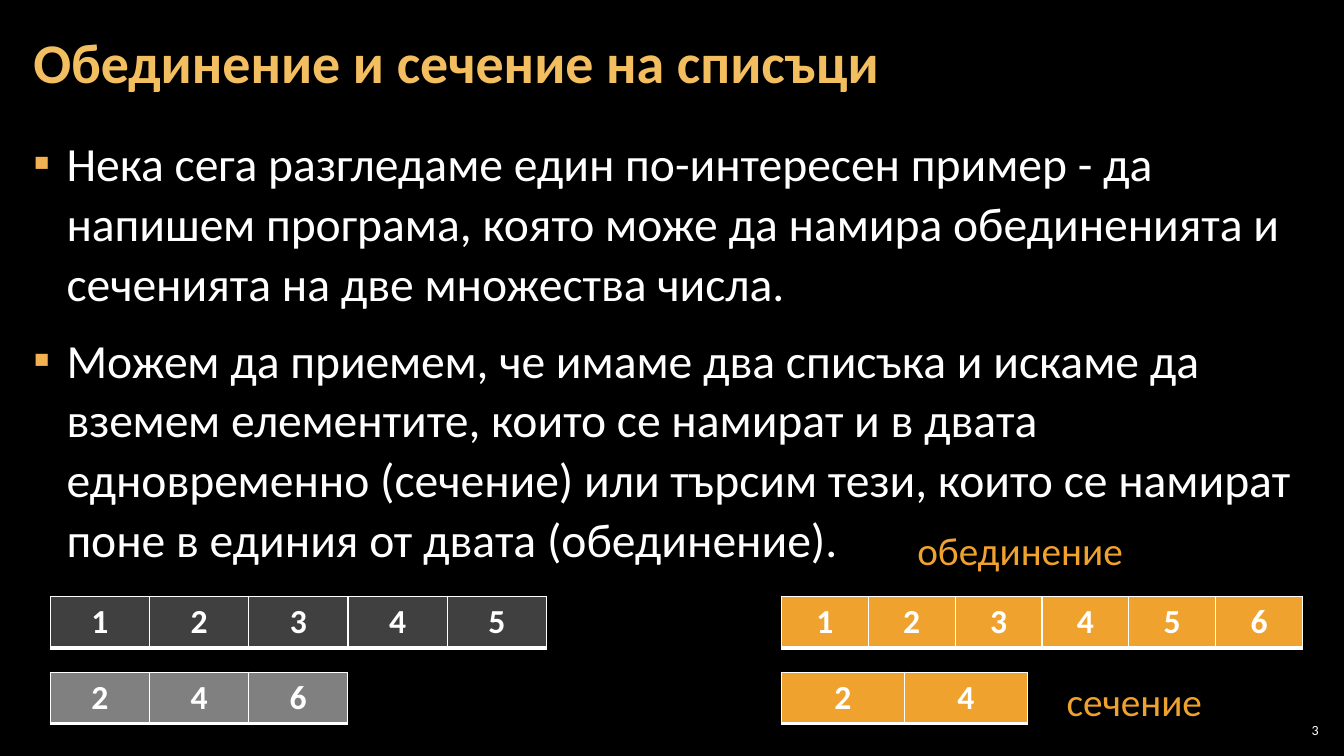
from dataclasses import dataclass

from lxml import etree
from pptx import Presentation
from pptx.dml.color import RGBColor
from pptx.enum import text
from pptx.oxml import ns
from pptx.util import Inches, Pt


@dataclass(frozen=True)
class Theme:
    font: str = "Calibri"
    back: str = "000000"
    white: str = "FFFFFF"
    title: str = "F3BE60"
    bullet: str = "F2B254"
    dark: str = "404040"
    gray: str = "808080"
    orange: str = "F0A22E"
    title_size: int = 40
    body_size: int = 34
    label_size: int = 28
    cell_size: int = 24
    number_size: int = 10


THEME = Theme()
ROW_HEIGHT = 0.5
BULLETS = [
    "Нека сега разгледаме един по-интересен пример - да напишем програма, "
    "която може да намира обединенията и сеченията на две множества числа.",
    "Можем да приемем, че имаме два списъка и искаме да вземем елементите, "
    "които се намират и в двата едновременно (сечение) или търсим тези, "
    "които се намират поне в единия от двата (обединение).",
]


def add_run(p, words, size, color, bold=False):
    r = p.add_run()
    r.text = words
    r.font.name = THEME.font
    r.font.size = Pt(size)
    r.font.bold = bold
    r.font.color.rgb = RGBColor.from_string(color)


def set_frame(tf, side, wrap=True, anchor=text.MSO_ANCHOR.TOP, edge=0.04):
    tf.word_wrap = wrap
    tf.auto_size = text.MSO_AUTO_SIZE.NONE
    tf.vertical_anchor = anchor
    tf.margin_left = tf.margin_right = Inches(side)
    tf.margin_top = tf.margin_bottom = Inches(edge)


def add_title(s, left, top, width, height, words):
    sp = s.shapes.title
    sp.left, sp.top = Inches(left), Inches(top)
    sp.width, sp.height = Inches(width), Inches(height)
    set_frame(sp.text_frame, 0.12, anchor=text.MSO_ANCHOR.MIDDLE)
    p = sp.text_frame.paragraphs[0]
    p.alignment = text.PP_ALIGN.LEFT
    p.line_spacing = 0.9
    add_run(p, words, THEME.title_size, THEME.title, bold=True)


def add_textbox(s, left, top, width, height):
    sp = s.shapes.add_textbox(Inches(left), Inches(top), Inches(width), Inches(height))
    return sp.text_frame


def set_bullet(p, char, color, indent):
    pPr = p._p.get_or_add_pPr()
    pPr.set("marL", str(Inches(indent)))
    pPr.set("indent", str(-Inches(indent)))
    bullet_color = etree.SubElement(pPr, ns.qn("a:buClr"))
    etree.SubElement(bullet_color, ns.qn("a:srgbClr"), val=color)
    etree.SubElement(pPr, ns.qn("a:buFont"), typeface="Wingdings" if char == "§" else THEME.font)
    etree.SubElement(pPr, ns.qn("a:buChar"), char=char)


def add_body(s, left, top, width, height, items):
    tf = add_textbox(s, left, top, width, height)
    set_frame(tf, 0.12)
    for i, item in enumerate(items):
        p = tf.add_paragraph() if i else tf.paragraphs[0]
        set_bullet(p, "▪", THEME.bullet, 0.33)
        p.line_spacing = 1.05
        p.space_before = Pt(6 if i else 0)
        p.space_after = Pt(6)
        add_run(p, item, THEME.body_size, THEME.white)


def set_borders(cell):
    tcPr = cell._tc.get_or_add_tcPr()
    # Borders come before the fill, the bottom one thicker
    for i, (side, width) in enumerate([("L", 1), ("R", 1), ("T", 1), ("B", 3)]):
        ln = etree.Element(ns.qn(f"a:ln{side}"), w=str(Pt(width)))
        fill = etree.SubElement(ln, ns.qn("a:solidFill"))
        etree.SubElement(fill, ns.qn("a:srgbClr"), val=THEME.white)
        tcPr.insert(i, ln)


def add_list(s, left, top, width, values, color):
    frame = s.shapes.add_table(1, len(values), Inches(left), Inches(top),
                               Inches(width), Inches(ROW_HEIGHT))
    for cell, value in zip(frame.table.iter_cells(), values):
        cell.fill.solid()
        cell.fill.fore_color.rgb = RGBColor.from_string(color)
        set_borders(cell)
        p = cell.text_frame.paragraphs[0]
        p.alignment = text.PP_ALIGN.CENTER
        add_run(p, str(value), THEME.cell_size, THEME.white, bold=True)


def add_label(s, left, top, width, height, words):
    tf = add_textbox(s, left, top, width, height)
    set_frame(tf, 0.1, wrap=False, edge=0.05)
    tf.auto_size = text.MSO_AUTO_SIZE.SHAPE_TO_FIT_TEXT
    add_run(tf.paragraphs[0], words, THEME.label_size, THEME.orange)


def add_number(s, left, top, width, height, number):
    tf = add_textbox(s, left, top, width, height)
    set_frame(tf, 0.04, anchor=text.MSO_ANCHOR.MIDDLE)
    p = tf.paragraphs[0]
    p.alignment = text.PP_ALIGN.RIGHT
    add_run(p, number, THEME.number_size, THEME.white)


def add_lists(s, left, top, width):
    second = top + 0.75
    results = left + 7.25
    # Input lists on the left
    add_list(s, left, top, 4.92, [1, 2, 3, 4, 5], THEME.dark)
    add_list(s, left, second, 2.95, [2, 4, 6], THEME.gray)
    # Union and intersection on the right
    add_list(s, results, top, left + width - results, [1, 2, 3, 4, 5, 6], THEME.orange)
    add_list(s, results, second, 2.44, [2, 4], THEME.orange)
    add_label(s, results + 1.25, top - 0.75, 2.26, 0.57, "обединение")
    add_label(s, results + 2.73, second, 1.56, 0.57, "сечение")


def main():
    prs = Presentation()
    prs.slide_width, prs.slide_height = Inches(13.33), Inches(7.5)
    s = prs.slides.add_slide(prs.slide_layouts[5])
    s.background.fill.solid()
    s.background.fill.fore_color.rgb = RGBColor.from_string(THEME.back)
    add_title(s, 0.21, 0.04, 12.91, 1.21, "Обединение и сечение на списъци")
    add_body(s, 0.21, 1.26, 12.91, 6.09, BULLETS)
    add_lists(s, 0.5, 5.92, 12.42)
    add_number(s, 12.65, 7.14, 0.47, 0.21, "3")
    prs.save("out.pptx")


if __name__ == "__main__":
    main()
